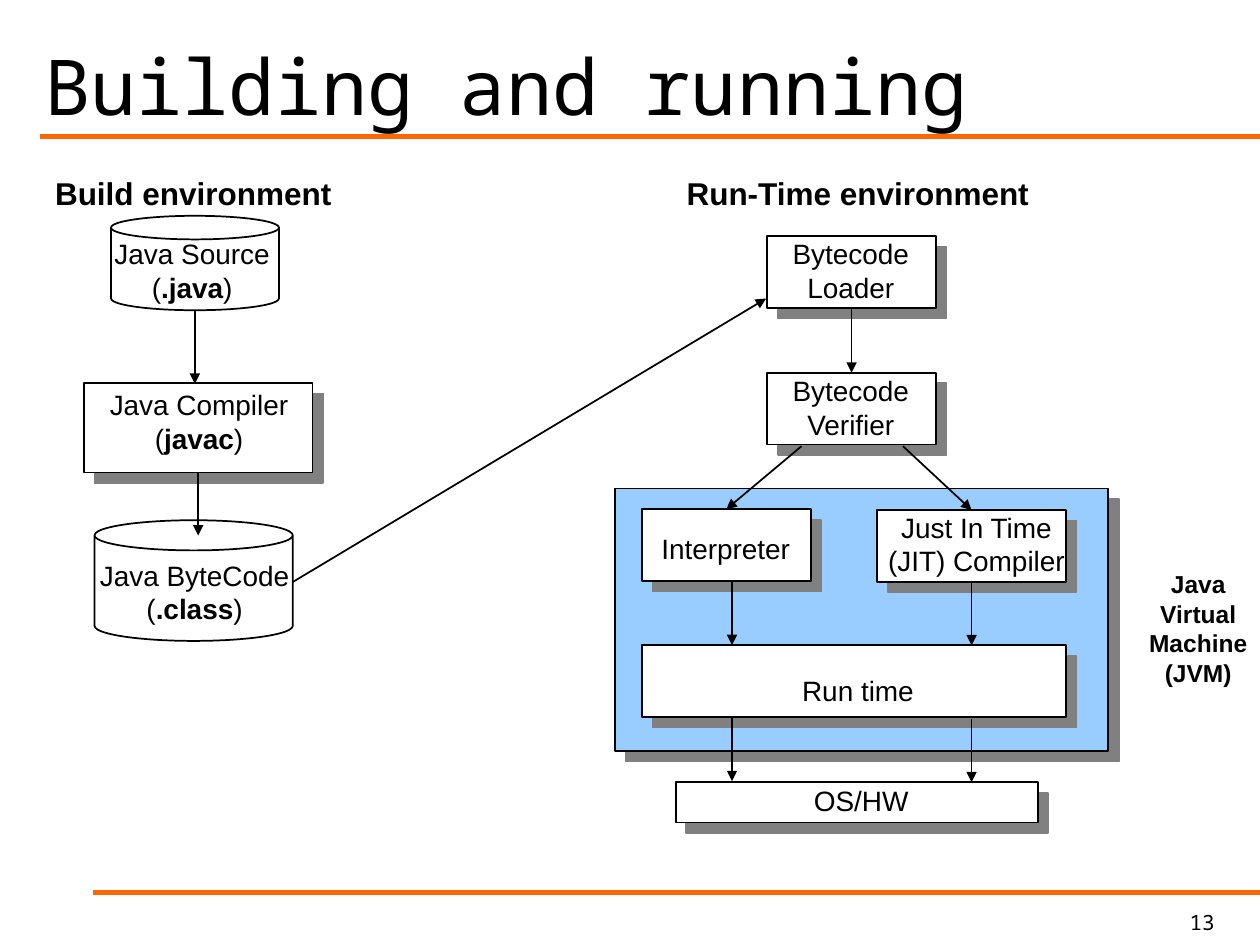
from lxml import etree
from pptx import Presentation
from pptx.dml import color
from pptx.enum import shapes, text
from pptx.oxml import ns
from pptx.util import Pt

theme = {
    "ink": color.RGBColor(0x00, 0x00, 0x00),
    "paper": color.RGBColor(0xFF, 0xFF, 0xFF),
    "panel": color.RGBColor(0x99, 0xCC, 0xFF),
    "rule": color.RGBColor(0xFF, 0x66, 0x00),
    "shadow": "808080",
    "sans": "Arial",
    "mono": "Noto Sans Mono",
    "title": 44,
    "heading": 18,
    "label": 16,
    "note": 14,
    "number": 12,
}
CENTER, LEFT, RIGHT = text.PP_ALIGN.CENTER, text.PP_ALIGN.LEFT, text.PP_ALIGN.RIGHT
TOP, BOTTOM = 0, 2


def write(frame, content, size=theme["label"], font=theme["sans"], bold=False,
          align=CENTER, anchor=text.MSO_ANCHOR.TOP, wrap=True):
    frame.word_wrap = wrap
    frame.auto_size = text.MSO_AUTO_SIZE.NONE
    frame.vertical_anchor = anchor
    for index, line in enumerate(content.split("\n")):
        paragraph = frame.add_paragraph() if index else frame.paragraphs[0]
        paragraph.alignment = align
        for position, part in enumerate(line.split("*")):
            if part:
                run = paragraph.add_run()
                run.text = part
                run.font.size = Pt(size)
                run.font.name = font
                run.font.bold = bold or position % 2 == 1
                run.font.color.rgb = theme["ink"]


def draw_line(start, end, ink=theme["ink"], width=1, arrow=True):
    line = slide.shapes.add_connector(
        shapes.MSO_CONNECTOR.STRAIGHT, *(Pt(v) for v in (*start, *end)))
    line.line.color.rgb = ink
    line.line.width = Pt(width)
    if arrow:
        etree.SubElement(line.line._get_or_add_ln(), ns.qn("a:tailEnd"), type="triangle")
    etree.SubElement(line._element.spPr, ns.qn("a:effectLst"))
    return line


deck = Presentation()
deck.slide_width, deck.slide_height = Pt(720), Pt(540)
slide = deck.slides.add_slide(deck.slide_layouts[5])

title = slide.shapes.title
title.left, title.top, title.width, title.height = Pt(18), Pt(12.2), Pt(678), Pt(72)
write(title.text_frame, "Building and running", size=theme["title"], font=theme["mono"],
      align=LEFT, anchor=text.MSO_ANCHOR.MIDDLE)

for rule_left, rule_y in ((23, 78), (53, 510)):
    draw_line((720, rule_y), (rule_left, rule_y), theme["rule"], 3, arrow=False)

RECT, CAN = shapes.MSO_SHAPE.RECTANGLE, shapes.MSO_SHAPE.CAN
parts = {}
for part, kind, *bounds in (
    ("jvm", RECT, 351.4, 279.2, 282, 150),
    ("bytecode", CAN, 54, 297.3, 113.3, 69),
    ("source", CAN, 63.4, 123.3, 96, 54),
    ("compiler", RECT, 48, 218.8, 130.6, 51.2),
    ("loader", RECT, 438.4, 135, 96.5, 41),
    ("verifier", RECT, 438.4, 213, 96.5, 41),
    ("interpreter", RECT, 366.8, 291, 96.5, 41),
    ("jit", RECT, 501.2, 291.5, 108, 41),
    ("run time", RECT, 366.8, 368.8, 242.4, 41),
    ("os", RECT, 386.2, 447, 206.8, 23),
):
    shape = slide.shapes.add_shape(kind, *(Pt(v) for v in bounds))
    shape.fill.solid()
    shape.fill.fore_color.rgb = theme["panel" if part == "jvm" else "paper"]
    shape.line.color.rgb = theme["ink"]
    shape.line.width = Pt(1)
    shape.shadow.inherit = False
    if kind == RECT:
        effects = shape._element.spPr.find(ns.qn("a:effectLst"))
        cast = etree.SubElement(effects, ns.qn("a:outerShdw"), dist=str(Pt(8.5)),
                                dir="2700000", algn="ctr", rotWithShape="0")
        etree.SubElement(cast, ns.qn("a:srgbClr"), val=theme["shadow"])
    parts[part] = shape

heading = {"size": theme["heading"], "bold": True, "wrap": False}
note = {"size": theme["note"], "bold": True, "wrap": False}
number = {"size": theme["number"], "font": theme["mono"], "align": RIGHT}
for content, bounds, style in (
    ("Build environment", (24.5, 95.8, 172, 29), heading),
    ("Run-Time environment", (385.2, 95.8, 210, 29), heading),
    ("Java Source\n(*.java*)", (58.3, 131.8, 103, 45), {"wrap": False}),
    ("Java Compiler\n(*javac*)", (54.7, 218.2, 118, 45), {}),
    ("Java ByteCode\n(*.class*)", (49.7, 315.4, 123, 45), {"wrap": False}),
    ("Bytecode\nLoader", (431.5, 131.8, 109.4, 45), {}),
    ("Bytecode\nVerifier", (431.5, 210, 109.4, 45), {}),
    ("Interpreter", (360, 300.2, 109.4, 27), {}),
    ("Just In Time\n(JIT) Compiler", (498, 288, 120, 45), {}),
    ("Run time", (435.6, 381.6, 109.4, 27), {}),
    ("OS/HW", (457.9, 444.2, 68.4, 27), {"wrap": False}),
    ("Java\nVirtual\nMachine\n(JVM)", (649.4, 321.8, 70.6, 75), note),
    ("13", (594, 516.2, 107.3, 24), number),
):
    label = slide.shapes.add_textbox(*(Pt(v) for v in bounds))
    write(label.text_frame, content, **style)

for start, end, origin, target in (
    ((111.4, 177.3), (111.4, 219.4), None, None),
    ((113.3, 270), (113.3, 306), "compiler", None),
    ((167.3, 332.6), (437.8, 170.6), None, None),
    ((486.7, 176), (486.7, 213), "loader", "verifier"),
    ((458, 255), (415, 291), None, "interpreter"),
    ((516, 255), (555.2, 291.5), None, "jit"),
    ((418.3, 332.6), (418.3, 368.6), None, None),
    ((555.2, 332.5), (555.2, 368.8), "jit", None),
    ((418.3, 410.4), (418.3, 446.4), None, None),
    ((555.2, 411), (555.2, 447), None, None),
):
    flow = draw_line(start, end)
    if origin:
        flow.begin_connect(parts[origin], BOTTOM)
    if target:
        flow.end_connect(parts[target], TOP)

deck.save("out.pptx")
